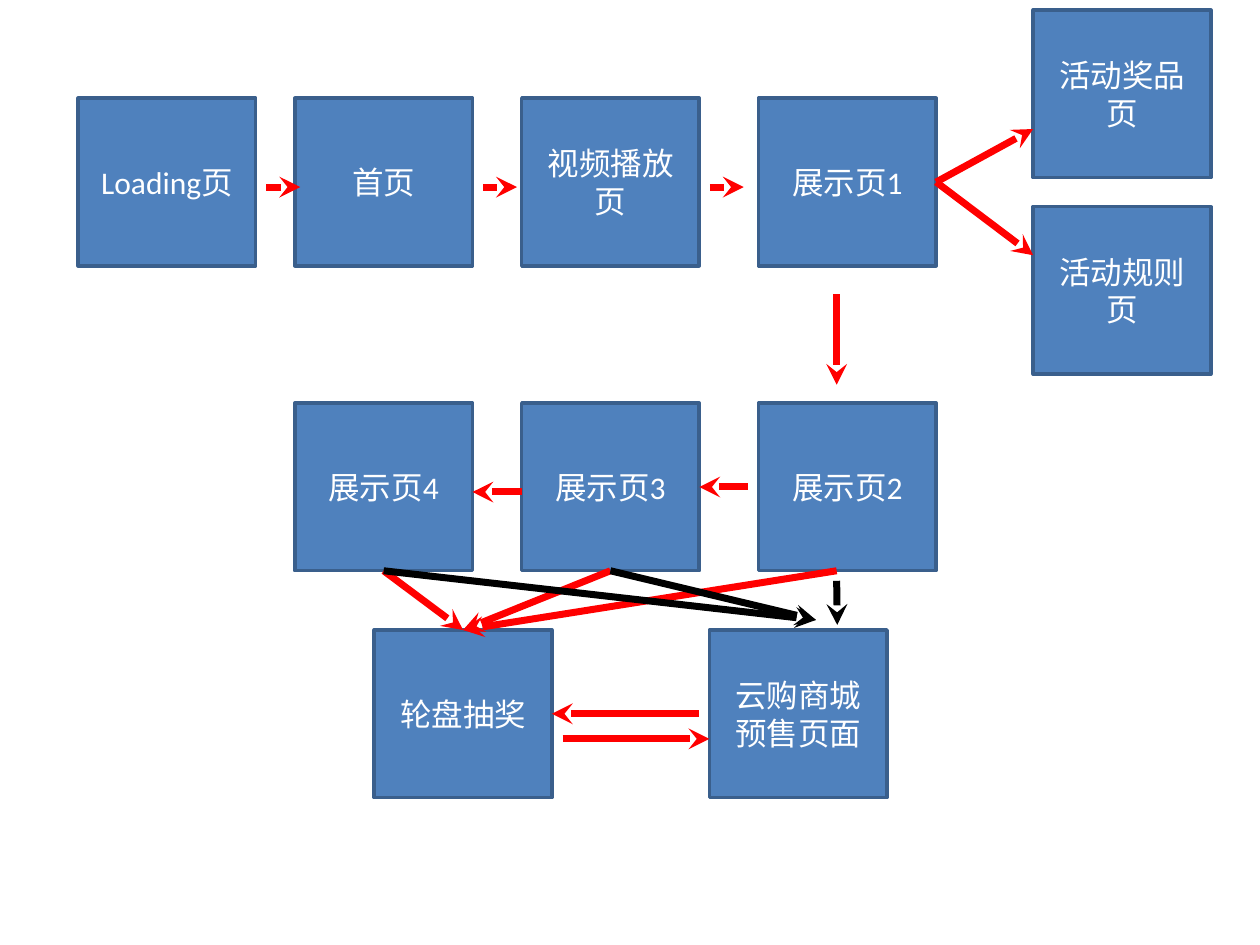
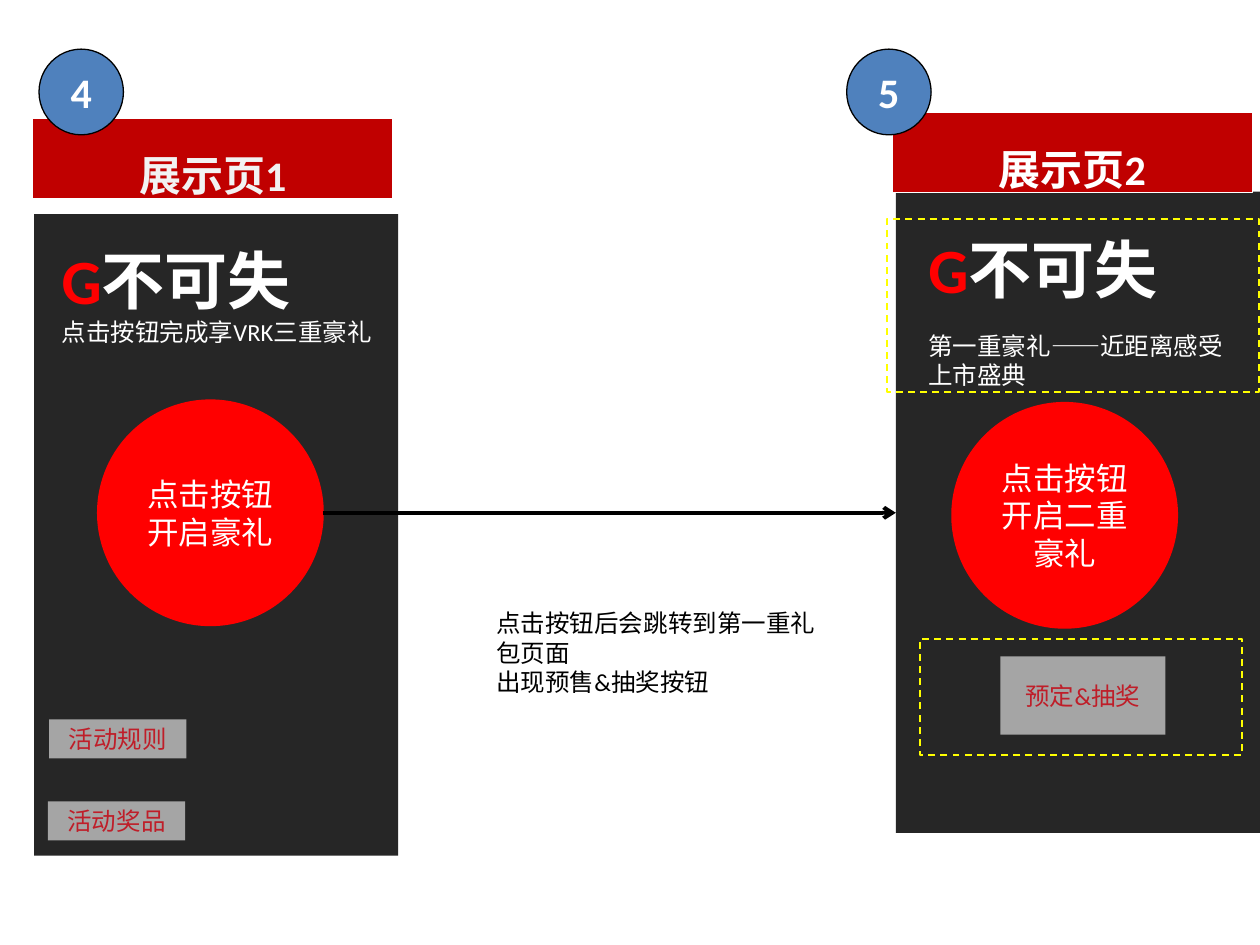
from lxml.etree import SubElement
from pptx import Presentation
from pptx.dml.color import RGBColor
from pptx.enum.dml import MSO_LINE
from pptx.enum.shapes import MSO_CONNECTOR, MSO_SHAPE
from pptx.enum.text import MSO_ANCHOR, MSO_AUTO_SIZE, PP_ALIGN
from pptx.oxml.ns import qn
from pptx.util import Inches, Pt

FONT = "Calibri"
WHITE, BLACK, RED, YELLOW = "FFFFFF", "000000", "FF0000", "FFFF00"
BLUE, EDGE, CRIMSON, DARK = "4F81BD", "3A5F8C", "C00000", "262626"
GREY, BUTTON_RED = "A5A5A5", "BF1E29"

PAGE_SIZE = (1.41, 1.33)
COLUMNS = (0.62, 2.34, 4.14, 6.02, 8.2)
ROWS = (0.78, 3.2, 5)
PAGES = {
    "loading": ("Loading页", COLUMNS[0], ROWS[0]),
    "home": ("首页", COLUMNS[1], ROWS[0]),
    "video": ("视频播放页", COLUMNS[2], ROWS[0]),
    "show1": ("展示页1", COLUMNS[3], ROWS[0]),
    "prizes": ("活动奖品页", COLUMNS[4], 0.08),
    "rules": ("活动规则页", COLUMNS[4], 1.64),
    "show2": ("展示页2", COLUMNS[3], ROWS[1]),
    "show3": ("展示页3", COLUMNS[2], ROWS[1]),
    "show4": ("展示页4", COLUMNS[1], ROWS[1]),
    "mall": ("云购商城预售页面", 5.63, ROWS[2]),
    "wheel": ("轮盘抽奖", 2.97, ROWS[2]),
}
STEPS = [(name, 1.06, 0.53, name, 1.25, 0.53) for name in ("loading", "home", "video")]
RED_ARROWS = STEPS + [
    ("show1", 1, 0.5, "prizes", 0, 0.71),
    ("show1", 1, 0.5, "rules", 0, 0.29),
    ("show1", 0.44, 1.17, "show2", 0.44, -0.11),
    ("show2", -0.06, 0.5, "show3", 1, 0.5),
    ("show3", 0, 0.53, "show4", 1, 0.53),
    ("show4", 0.5, 1, "wheel", 0.5, 0),
    ("show3", 0.5, 1, "wheel", 0.5, 0),
    ("show2", 0.44, 1, "wheel", 0.5, 0),
    ("mall", -0.06, 0.5, "wheel", 1, 0.5),
    ("wheel", 1.06, 0.65, "mall", 0, 0.65),
]
BLACK_ARROWS = [
    ("show2", 0.44, 1.06, "mall", 0.72, -0.03),
    ("show3", 0.5, 1, "mall", 0.6, -0.06),
    ("show4", 0.5, 1, "mall", 0.6, -0.06),
]

SCREENS = [
    {
        "badge": ("4", 0.31, 0.39),
        "banner": ("展示页1", "F2F2F2", 0.26, 0.94),
        "panel": (0.27, 1.7),
        "offer": ("点击按钮完成享VRK三重豪礼", 0, (0.39, 1.87, 2.66, 0.99)),
        "circle": ("点击按钮开启豪礼", 0.77, 3.17),
        "buttons": [
            ("活动规则", (0.39, 5.71, 1.09, 0.31)),
            ("活动奖品", (0.38, 6.36, 1.09, 0.31)),
        ],
        "frames": [],
    },
    {
        "badge": ("5", 6.72, 0.39),
        "banner": ("展示页2", WHITE, 7.08, 0.89),
        "panel": (7.11, 1.52),
        "offer": ("第一重豪礼——近距离感受上市盛典", 14, (7.27, 1.78, 2.66, 1.38)),
        "circle": ("点击按钮开启二重豪礼", 7.55, 3.19),
        "buttons": [("预定&抽奖", (7.94, 5.21, 1.31, 0.62))],
        "frames": [(7.04, 1.74, 2.95, 1.37), (7.3, 5.07, 2.56, 0.92)],
    },
]
JUMP_NOTE = ["点击按钮后会跳转到第一重礼包页面", "出现预售&抽奖按钮"]


def color(value):
    return RGBColor.from_string(value)


def style_span(span, size, ink, bold=False):
    span.font.name = FONT
    span.font.size = Pt(size)
    span.font.bold = bold
    span.font.color.rgb = color(ink)


def write(shape, text, size, ink=WHITE, bold=False, anchor=MSO_ANCHOR.MIDDLE):
    frame = shape.text_frame
    frame.text = text
    frame.word_wrap = True
    frame.auto_size = MSO_AUTO_SIZE.NONE
    frame.vertical_anchor = anchor
    para = frame.paragraphs[0]
    para.alignment = PP_ALIGN.CENTER
    style_span(para.runs[0], size, ink, bold)
    return para


def paint(shape, fill=None, line=None, width=0.75):
    if fill:
        shape.fill.solid()
        shape.fill.fore_color.rgb = color(fill)
    else:
        shape.fill.background()
    if line:
        shape.line.color.rgb = color(line)
        shape.line.width = Pt(width)
    else:
        shape.line.fill.background()


def add_box(page, place, fill=None, line=None, width=0.75, kind=MSO_SHAPE.RECTANGLE):
    shape = page.shapes.add_shape(kind, *map(Inches, place))
    shape.shadow.inherit = False
    paint(shape, fill, line, width)
    return shape


def add_text_box(page, place):
    box = page.shapes.add_textbox(*map(Inches, place))
    box.text_frame.word_wrap = True
    return box.text_frame


def add_arrow(page, start, end, ink, width, head):
    arrow = page.shapes.add_connector(MSO_CONNECTOR.STRAIGHT, *map(Inches, start + end))
    arrow.line.color.rgb = color(ink)
    arrow.line.width = Pt(width)
    SubElement(arrow.line._get_or_add_ln(), qn("a:tailEnd"), type=head)
    SubElement(arrow._element.spPr, qn("a:effectLst"))


def page_point(name, across, down):
    _, left, top = PAGES[name]
    return left + across * PAGE_SIZE[0], top + down * PAGE_SIZE[1]


def build_flow(deck):
    page = deck.slides.add_slide(deck.slide_layouts[6])
    for label, left, top in PAGES.values():
        write(add_box(page, (left, top, *PAGE_SIZE), BLUE, EDGE, 2), label, 18)
    for ink, arrows in ((RED, RED_ARROWS), (BLACK, BLACK_ARROWS)):
        for arrow in arrows:
            add_arrow(page, page_point(*arrow[:3]), page_point(*arrow[3:]), ink, 4, "stealth")


def add_banner(page, text, ink, left, top, title=None):
    place = (left, top, 2.86, 0.64)
    if title is None:
        banner = add_box(page, place, CRIMSON, WHITE)
    else:
        banner = title
        banner.left, banner.top, banner.width, banner.height = map(Inches, place)
        paint(banner, CRIMSON, WHITE)
    para = write(banner, text, 24, ink, True, MSO_ANCHOR.TOP)
    para.line_spacing = 1.5
    para.space_before = Pt(0)


def add_offer(page, text, gap, place):
    frame = add_text_box(page, place)
    headline = frame.paragraphs[0]
    for word, ink in (("G", RED), ("不可失", WHITE)):
        span = headline.add_run()
        span.text = word
        style_span(span, 36, ink, True)
    detail = frame.add_paragraph()
    detail.text = text
    detail.space_before = Pt(gap)
    style_span(detail.runs[0], 14, WHITE)


def add_screen(page, screen, title):
    add_box(page, (*screen["panel"], 2.89, 5.09), DARK)
    add_banner(page, *screen["banner"], title)
    add_offer(page, *screen["offer"])
    for label, place in screen["buttons"]:
        write(add_box(page, place, GREY), label, 14, BUTTON_RED)
    for place in screen["frames"]:
        add_box(page, place, line=YELLOW, width=1).line.dash_style = MSO_LINE.DASH
    label, left, top = screen["circle"]
    circle = add_box(page, (left, top, 1.8, 1.8), RED, kind=MSO_SHAPE.OVAL)
    write(circle, label, 18)
    number, left, top = screen["badge"]
    badge = add_box(page, (left, top, 0.67, 0.68), BLUE, BLACK, kind=MSO_SHAPE.OVAL)
    write(badge, number, 24, bold=True)


def build_screens(deck):
    page = deck.slides.add_slide(deck.slide_layouts[5])
    for screen, title in zip(SCREENS, (page.shapes.title, None)):
        add_screen(page, screen, title)
    add_arrow(page, (2.56, 4.07), (7.11, 4.07), BLACK, 2.25, "arrow")
    frame = add_text_box(page, (3.84, 4.78, 2.74, 0.81))
    frame.text = "\n".join(JUMP_NOTE)
    for para in frame.paragraphs:
        style_span(para.runs[0], 14, BLACK)


def main():
    deck = Presentation()
    deck.slide_width, deck.slide_height = Inches(10), Inches(7.5)
    build_flow(deck)
    build_screens(deck)
    deck.save("out.pptx")


if __name__ == "__main__":
    main()
